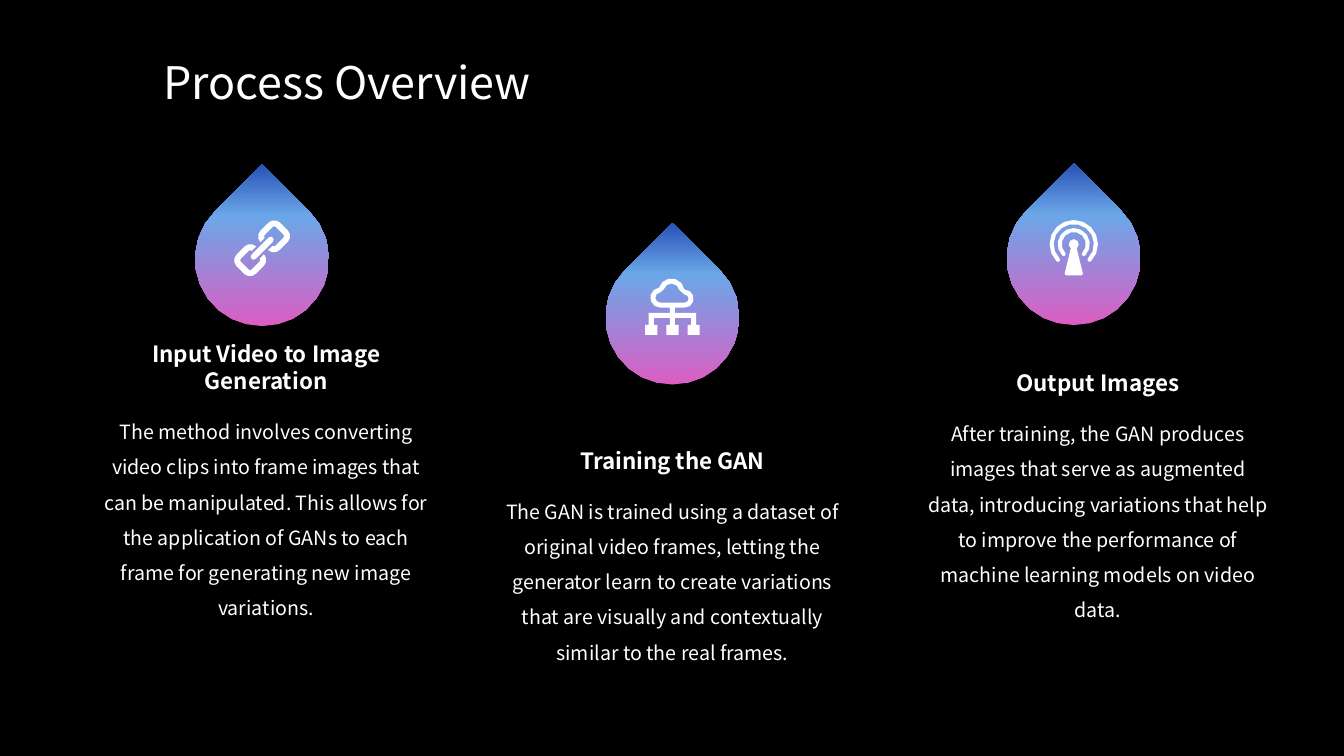
import copy
import math

import pptx
import pptx.dml.color
import pptx.enum.text
import pptx.util

FONT = "Noto Sans CJK SC"
WHITE = "FFFFFF"
UNITS = 1000  # freeform units per inch
ARC_TOLERANCE = 0.005
TEXT_WIDTH = 3.58
DROP_RADIUS = 0.665
DROP_STOPS = [(0, "DC5DC2"), (0.68, "6BA7E8"), (1, "2851B6")]
ALIGN = pptx.enum.text.PP_ALIGN
ANCHOR = pptx.enum.text.MSO_ANCHOR
inches = pptx.util.Inches


def color(hex_text):
    return pptx.dml.color.RGBColor.from_string(hex_text)


def arc(cx, cy, r, start, end):
    """Points on a circle; degrees run clockwise from the right."""
    widest = 2 * math.degrees(math.acos(1 - ARC_TOLERANCE / r))
    steps = math.ceil(abs(end - start) / widest)
    angles = [math.radians(start + (end - start) * i / steps) for i in range(steps + 1)]
    return [(cx + r * math.cos(a), cy + r * math.sin(a)) for a in angles]


def add_outline(s, x, y, contours):
    """Draw closed contours, in inches from the point (x, y), as one shape."""
    scaled = [[(px * UNITS, py * UNITS) for px, py in c] for c in contours]
    builder = s.shapes.build_freeform(*scaled[0][0], scale=914400 / UNITS)
    builder.add_line_segments(scaled[0][1:])
    for contour in scaled[1:]:
        builder.move_to(*contour[0])
        builder.add_line_segments(contour[1:])
    sp = builder.convert_to_shape(inches(x), inches(y))
    sp.shadow.inherit = False
    sp.line.fill.background()
    sp.fill.solid()
    sp.fill.fore_color.rgb = color(WHITE)
    return sp


def link_icon():
    def half_track(r):
        near, far, side = -0.11, -0.225, 0.055
        return (arc(near, -side, r, 360, 270) + arc(far, -side, r, 270, 180)
                + arc(far, side, r, 180, 90) + arc(near, side, r, 90, 0))

    left = half_track(0.08) + half_track(0.02)[::-1]
    right = [(-u, -v) for u, v in left]
    bar = arc(-0.12, 0, 0.03, 90, 270) + arc(0.12, 0, 0.03, 270, 450)
    k = math.sqrt(0.5)
    return [[((u + v) * k, (v - u) * k) for u, v in c] for c in (left, bar, right)]


def cloud_icon():
    def cloud(inset):
        return (arc(-0.12, -0.09, 0.1 - inset, 90, 265)
                + arc(-0.01, -0.15, 0.13 - inset, 195, 350)
                + arc(0.12, -0.08, 0.09 - inset, 270, 450))

    def box(cx):
        left, right, top, bottom = cx - 0.06, cx + 0.06, 0.18, 0.28
        return [(left, top), (right, top), (right, bottom), (left, bottom)]

    half_tree = [(0.025, 0.01), (0.025, 0.06), (0.235, 0.06), (0.235, 0.18),
                 (0.185, 0.18), (0.185, 0.11), (0.025, 0.11), (0.025, 0.18)]
    tree = half_tree + [(-x, y) for x, y in half_tree[::-1]]
    return [cloud(0), cloud(0.05), tree] + [box(cx) for cx in (-0.21, 0, 0.21)]


def antenna_icon():
    cy, half = -0.03, 0.02

    def wave(r):
        end = r * math.sqrt(0.5)
        return (arc(0, cy, r + half, 135, 405) + arc(end, cy + end, half, 45, 225)
                + arc(0, cy, r - half, 405, 135) + arc(-end, cy + end, half, 315, 495))

    mast = (arc(0, cy, 0.05, 125, 415) + arc(0.07, 0.26, 0.02, 0, 90)
            + arc(-0.07, 0.26, 0.02, 90, 180))
    return [wave(0.22), wave(0.14), mast]


def add_drop(s, x, top, icon):
    """Place a gradient drop with its tip at (x, top) and an icon inside."""
    r = DROP_RADIUS
    centre = r * math.sqrt(2)
    sp = add_outline(s, x, top, [[(0, 0)] + arc(0, centre, r, -45, 225)])
    sp.fill.gradient()
    sp.fill.gradient_angle = 90
    stops = sp._element.spPr.find(".//" + pptx.oxml.ns.qn("a:gsLst"))
    stops.append(copy.deepcopy(stops[0]))
    for stop, (position, shade) in zip(sp.fill.gradient_stops, DROP_STOPS):
        stop.position = position
        stop.color.rgb = color(shade)
    add_outline(s, x, top + (centre + r) / 2 + 0.03, icon)


def add_text(s, box, text, size, bold=False, align=ALIGN.LEFT,
             anchor=ANCHOR.TOP, spacing=1):
    tf = s.shapes.add_textbox(*map(inches, box)).text_frame
    tf.word_wrap = True
    tf.auto_size = pptx.enum.text.MSO_AUTO_SIZE.SHAPE_TO_FIT_TEXT
    tf.vertical_anchor = anchor
    p = tf.paragraphs[0]
    p.text = text
    p.alignment = align
    p.line_spacing = spacing
    p.font.name = FONT
    p.font.size = pptx.util.Pt(size)
    p.font.bold = bold
    p.font.color.rgb = color(WHITE)


def add_step(s, left, top, drop_x, drop_top, icon, heading, body):
    """Place a drop and, at (left, top), the heading with its body below."""
    add_drop(s, drop_x, drop_top, icon)
    add_text(s, (left, top, TEXT_WIDTH, 0.37), heading, 16, True,
             ALIGN.CENTER, ANCHOR.BOTTOM)
    add_text(s, (left, top + 0.41, TEXT_WIDTH, 2.18), body, 14,
             align=ALIGN.CENTER, spacing=1.5)


STEPS = [
    (0.85, 3.59, 2.6, 1.63, link_icon(), "Input Video to Image Generation",
     "The method involves converting video clips into frame images that can be "
     "manipulated. This allows for the application of GANs to each frame for "
     "generating new image variations."),
    (4.88, 4.38, 6.67, 2.21, cloud_icon(), "Training the GAN",
     "The GAN is trained using a dataset of original video frames, letting the "
     "generator learn to create variations that are visually and contextually "
     "similar to the real frames."),
    (9.1, 3.61, 10.65, 1.62, antenna_icon(), "Output Images",
     "After training, the GAN produces images that serve as augmented data, "
     "introducing variations that help to improve the performance of machine "
     "learning models on video data."),
]


def main():
    prs = pptx.Presentation()
    prs.slide_width, prs.slide_height = inches(13.33), inches(7.5)
    s = prs.slides.add_slide(prs.slide_layouts[6])
    s.background.fill.solid()
    s.background.fill.fore_color.rgb = color("000000")
    add_text(s, (1.52, 0.49, 7.79, 0.64), "Process Overview", 32)
    for step in STEPS:
        add_step(s, *step)
    prs.save("out.pptx")


if __name__ == "__main__":
    main()
